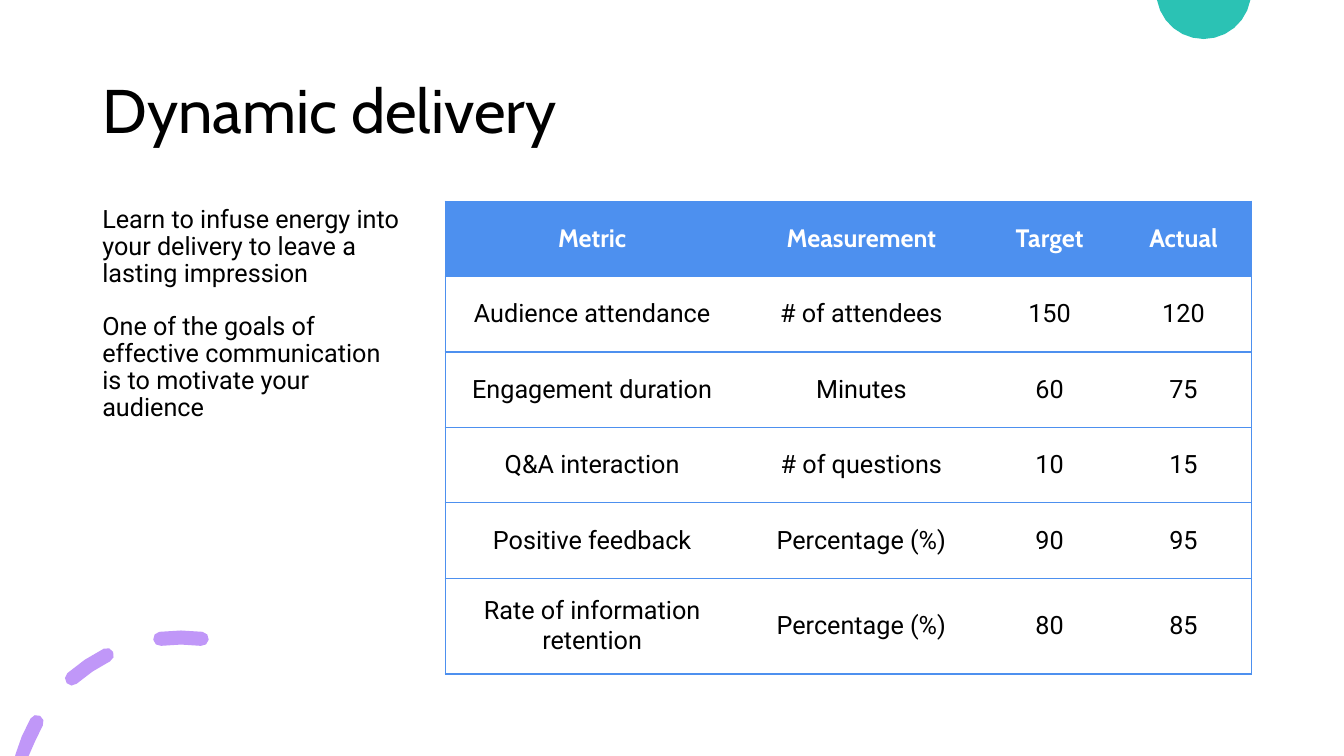
import math
from dataclasses import dataclass

from lxml import etree
from pptx import Presentation
from pptx import util as u
from pptx.dml.color import RGBColor
from pptx.enum import text
from pptx.oxml.ns import qn


@dataclass(frozen=True)
class Theme:
    blue: str = "4D90EF"
    teal: str = "2BC2B4"
    violet: str = "C097F8"
    ink: str = "000000"
    paper: str = "FFFFFF"
    heading: str = "Cabin"
    reading: str = "Roboto"
    title_size: int = 44
    body_size: int = 18
    rule_width: int = 1


THEME = Theme()
COLUMNS, ROWS = 160, 90  # grid laid over the whole slide
PAGE_WIDTH, PAGE_HEIGHT = u.Inches(40 / 3), u.Inches(7.5)

TITLE = "Dynamic delivery"
MESSAGES = [
    "Learn to infuse energy into your delivery to leave a lasting impression",
    "One of the goals of effective communication is to motivate your audience",
]
METRICS = [
    ("Metric", "Measurement", "Target", "Actual"),
    ("Audience attendance", "# of attendees", "150", "120"),
    ("Engagement duration", "Minutes", "60", "75"),
    ("Q&A interaction", "# of questions", "10", "15"),
    ("Positive feedback", "Percentage (%)", "90", "95"),
    ("Rate of information retention", "Percentage (%)", "80", "85"),
]
METRIC_WIDTHS = (35, 29.1, 15.7, 16.2)
METRIC_HEIGHTS = (8.98, 8.98, 8.98, 8.98, 8.98, 11.4)


def across(columns):
    return u.Emu(round(columns * PAGE_WIDTH / COLUMNS))


def down(rows):
    return u.Emu(round(rows * PAGE_HEIGHT / ROWS))


def place(box):
    left, top, width, height = box
    return across(left), down(top), across(width), down(height)


def style(para, size, face, color, bold=False):
    para.font.size = u.Pt(size)
    para.font.name = face
    para.font.bold = bold
    para.font.color.rgb = RGBColor.from_string(color)


def arc(center, radius, start, end, steps):
    """Points on a circle; degrees run clockwise from the top."""
    turns = [math.radians(start + (end - start) * step / steps) for step in range(steps + 1)]
    return [(center[0] + radius * math.sin(turn), center[1] - radius * math.cos(turn))
            for turn in turns]


def add_outlines(page, outlines, color):
    outlines = [[(across(x), down(min(y, ROWS))) for x, y in points] for points in outlines]
    builder = page.shapes.build_freeform(*outlines[0][0])
    for index, points in enumerate(outlines):
        if index:
            builder.move_to(*points[0])
        builder.add_line_segments(points[1:], close=True)
    shape = builder.convert_to_shape()
    shape.shadow.inherit = False
    shape.fill.solid()
    shape.fill.fore_color.rgb = RGBColor.from_string(color)
    shape.line.fill.background()


def add_dashed_arc(page, center, radius, half_width, spans):
    outlines = []
    for start, end in spans:
        tail, head = arc(center, radius, start, end, 1)
        outlines.append(arc(center, radius + half_width, start, end, 2)
                        + arc(head, half_width, end, end + 180, 4)[1:-1]
                        + arc(center, radius - half_width, end, start, 2)
                        + arc(tail, half_width, start + 180, start + 360, 4)[1:-1])
    add_outlines(page, outlines, THEME.violet)


def add_top_disc(page, center, radius):
    edge = math.degrees(math.acos(center[1] / radius))
    add_outlines(page, [arc(center, radius, edge, 360 - edge, 12)], THEME.teal)


def add_copy(page, box, lines, size, face, anchor, before=0, after=0):
    frame = page.shapes.add_textbox(*place(box)).text_frame
    frame.word_wrap = True
    frame.vertical_anchor = anchor
    for index, line in enumerate(lines):
        para = frame.add_paragraph() if index else frame.paragraphs[0]
        para.text = line
        para.line_spacing = 0.9
        para.space_before, para.space_after = u.Pt(before), u.Pt(after)
        style(para, size, face, THEME.ink)


def add_borders(cell, visible):
    properties = cell._tc.get_or_add_tcPr()
    for index, side in enumerate("LRTB"):
        line = etree.Element(qn(f"a:ln{side}"), w=str(u.Pt(THEME.rule_width)))
        if side in visible:
            fill = etree.SubElement(line, qn("a:solidFill"))
            etree.SubElement(fill, qn("a:srgbClr"), val=THEME.blue)
        else:
            etree.SubElement(line, qn("a:noFill"))
        properties.insert(index, line)


def add_metrics(page, box):
    table = page.shapes.add_table(len(METRICS), len(METRIC_WIDTHS), *place(box)).table
    table.horz_banding = False
    for column, width in zip(table.columns, METRIC_WIDTHS):
        column.width = across(width)
    for row, height in zip(table.rows, METRIC_HEIGHTS):
        row.height = down(height)
    last = len(METRIC_WIDTHS) - 1
    for row, values in enumerate(METRICS):
        for column, value in enumerate(values):
            cell = table.cell(row, column)
            cell.vertical_anchor = text.MSO_ANCHOR.MIDDLE
            para = cell.text_frame.paragraphs[0]
            para.text = value
            para.alignment = text.PP_ALIGN.CENTER
            if row == 0:
                cell.fill.solid()
                cell.fill.fore_color.rgb = RGBColor.from_string(THEME.blue)
                style(para, THEME.body_size, THEME.heading, THEME.paper, True)
            else:
                cell.fill.background()
                style(para, THEME.body_size, THEME.reading, THEME.ink)
            add_borders(cell, "L" * (column == 0) + "R" * (column == last) + "TB")


def build_table_slide(deck):
    page = deck.slides.add_slide(deck.slide_layouts[6])
    page.background.fill.solid()
    page.background.fill.fore_color.rgb = RGBColor.from_string(THEME.paper)
    # Corner decoration
    add_dashed_arc(page, (21.55, 95.6), 19.7, 0.84, [(-74, -60.7), (-41.2, -26.6), (-7.2, 7.2)])
    add_top_disc(page, (143.3, -1), 5.65)
    # Title and message
    add_copy(page, (11, 4.8, 138, 17.4), [TITLE], THEME.title_size, THEME.heading,
             text.MSO_ANCHOR.MIDDLE)
    add_copy(page, (11, 24, 37.8, 56.4), MESSAGES, THEME.body_size, THEME.reading,
             text.MSO_ANCHOR.TOP, before=10, after=8)
    # Results table
    add_metrics(page, (53, 23.95, sum(METRIC_WIDTHS), sum(METRIC_HEIGHTS)))


def main():
    deck = Presentation()
    deck.slide_width, deck.slide_height = PAGE_WIDTH, PAGE_HEIGHT
    build_table_slide(deck)
    deck.save("out.pptx")


if __name__ == "__main__":
    main()
